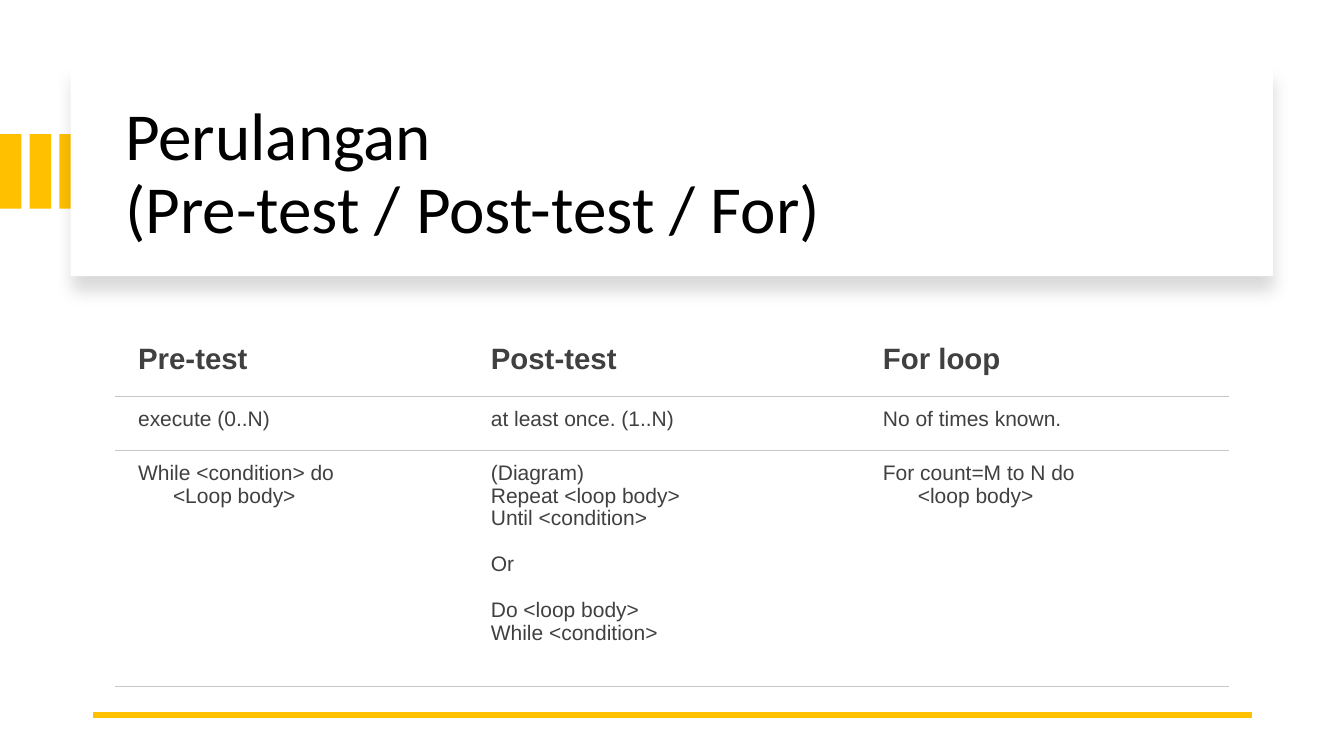
from dataclasses import dataclass

from lxml.etree import SubElement
from pptx import Presentation
from pptx.dml.color import RGBColor
from pptx.enum.shapes import MSO_CONNECTOR, MSO_SHAPE
from pptx.enum.text import MSO_ANCHOR, PP_ALIGN
from pptx.oxml import parse_xml
from pptx.oxml.ns import nsdecls, qn
from pptx.util import Cm, Pt


@dataclass(frozen=True)
class Theme:
    gold: str = "FFC000"
    white: str = "FFFFFF"
    black: str = "000000"
    ink: str = "404040"
    rule: str = "C7C6C1"
    title: float = 48
    head: float = 21
    body: float = 15
    title_font: str = "Calibri"
    body_font: str = "Arial"


@dataclass(frozen=True)
class Box:
    left: float
    top: float
    width: float
    height: float

    def size(self) -> tuple:
        return Cm(self.left), Cm(self.top), Cm(self.width), Cm(self.height)


@dataclass(frozen=True)
class Line:
    text: str
    indent: float = 0
    before: float = 0


@dataclass(frozen=True)
class Column:
    width: float
    head: str
    count: str
    code: tuple


THEME = Theme()
GAP = 16.6
INDENT = 0.88
ROWS = (1.6, 1.37, 5.94)
COLUMNS = (
    Column(8.89, "Pre-test", "execute (0..N)",
           (Line("While <condition> do"), Line("<Loop body>", INDENT))),
    Column(9.88, "Post-test", "at least once. (1..N)",
           (Line("(Diagram)"), Line("Repeat <loop body>"),
            Line("Until <condition>"), Line("Or", before=GAP),
            Line("Do <loop body>", before=GAP), Line("While <condition>"))),
    Column(9.3, "For loop", "No of times known.",
           (Line("For count=M to N do"), Line("<loop body>", INDENT))),
)


def add_run(para, text: str, font: str, size: float, color: str, bold: bool = False) -> None:
    run = para.add_run()
    run.text = text
    run.font.name = font
    run.font.size = Pt(size)
    run.font.bold = bold
    run.font.color.rgb = RGBColor.from_string(color)


def add_rect(shapes, box: Box, color: str):
    rect = shapes.add_shape(MSO_SHAPE.RECTANGLE, *box.size())
    rect.shadow.inherit = False
    rect.fill.solid()
    rect.fill.fore_color.rgb = RGBColor.from_string(color)
    rect.line.fill.background()
    return rect


def add_shadow(shape) -> None:
    effects = shape.element.spPr.find(qn("a:effectLst"))
    effects.append(parse_xml(
        f'<a:outerShdw {nsdecls("a")} blurRad="{Pt(11)}" dist="{Pt(10)}" dir="5400000" '
        f'algn="t" rotWithShape="0"><a:srgbClr val="{THEME.black}">'
        '<a:alpha val="15000"/></a:srgbClr></a:outerShdw>'))


def fill_cell(cell, lines: tuple, size: float, bold: bool) -> None:
    cell.margin_left, cell.margin_right = Cm(0.58), Cm(0.43)
    cell.margin_top = cell.margin_bottom = Cm(0.3)
    cell.vertical_anchor = MSO_ANCHOR.TOP
    cell.fill.background()
    props = cell._tc.get_or_add_tcPr()
    props.insert(0, parse_xml(
        f'<a:lnB {nsdecls("a")} w="{Pt(0.75)}"><a:solidFill>'
        f'<a:srgbClr val="{THEME.rule}"/></a:solidFill></a:lnB>'))
    frame = cell.text_frame
    for i, line in enumerate(lines):
        para = frame.add_paragraph() if i else frame.paragraphs[0]
        para.line_spacing = 0.97
        if line.before:
            para.space_before = Pt(line.before)
        if line.indent:
            para._p.get_or_add_pPr().set("marL", str(Cm(line.indent)))
        add_run(para, line.text, THEME.body_font, size, THEME.ink, bold)


def add_grid(shapes, left: float, top: float) -> None:
    box = Box(left, top, sum(c.width for c in COLUMNS), sum(ROWS))
    table = shapes.add_table(len(ROWS), len(COLUMNS), *box.size()).table
    table.horz_banding = table.first_row = False
    # Plain style without grid
    style = table._tbl.tblPr.find(qn("a:tableStyleId"))
    style.text = "{2D5ABB26-0587-4C30-8999-92F81FD0307C}"
    for row, height in zip(table.rows, ROWS):
        row.height = Cm(height)
    for x, col in enumerate(COLUMNS):
        table.columns[x].width = Cm(col.width)
        fill_cell(table.cell(0, x), (Line(col.head),), THEME.head, True)
        fill_cell(table.cell(1, x), (Line(col.count),), THEME.body, False)
        fill_cell(table.cell(2, x), col.code, THEME.body, False)


def set_title(title, box: Box, lines: tuple) -> None:
    title.left, title.top, title.width, title.height = box.size()
    frame = title.text_frame
    frame.word_wrap = True
    frame.vertical_anchor = MSO_ANCHOR.MIDDLE
    para = frame.paragraphs[0]
    para.alignment = PP_ALIGN.LEFT
    para.line_spacing = 0.9
    for i, text in enumerate(lines):
        if i:
            para.add_line_break()
        add_run(para, text, THEME.title_font, THEME.title, THEME.black)


def main() -> None:
    deck = Presentation()
    deck.slide_width, deck.slide_height = Cm(33.87), Cm(19.05)
    slide = deck.slides.add_slide(deck.slide_layouts[5])
    shapes = slide.shapes

    # Gold bars at the left edge
    bars = shapes.add_group_shape()
    for i in range(3):
        add_rect(bars.shapes, Box(0.75 * i, 3.38, 0.54, 1.88), THEME.gold)

    # Title card, with the title in front
    add_shadow(add_rect(shapes, Box(1.78, 1.7, 30.3, 5.26), THEME.white))
    title = shapes.title
    set_title(title, Box(2.9, 2.26, 28.27, 4.32),
              ("Perulangan", "(Pre-test / Post-test / For)"))
    title.element.getparent().append(title.element)

    # Gold rule at the foot
    foot = shapes.add_connector(MSO_CONNECTOR.STRAIGHT, Cm(31.55), Cm(18.01), Cm(2.34), Cm(18.01))
    foot.line.width = Pt(4.5)
    foot.line.color.rgb = RGBColor.from_string(THEME.gold)
    SubElement(foot._element.spPr, qn("a:effectLst"))

    # Comparison of loops
    add_grid(shapes, 2.9, 8.38)
    deck.save("out.pptx")


if __name__ == "__main__":
    main()
